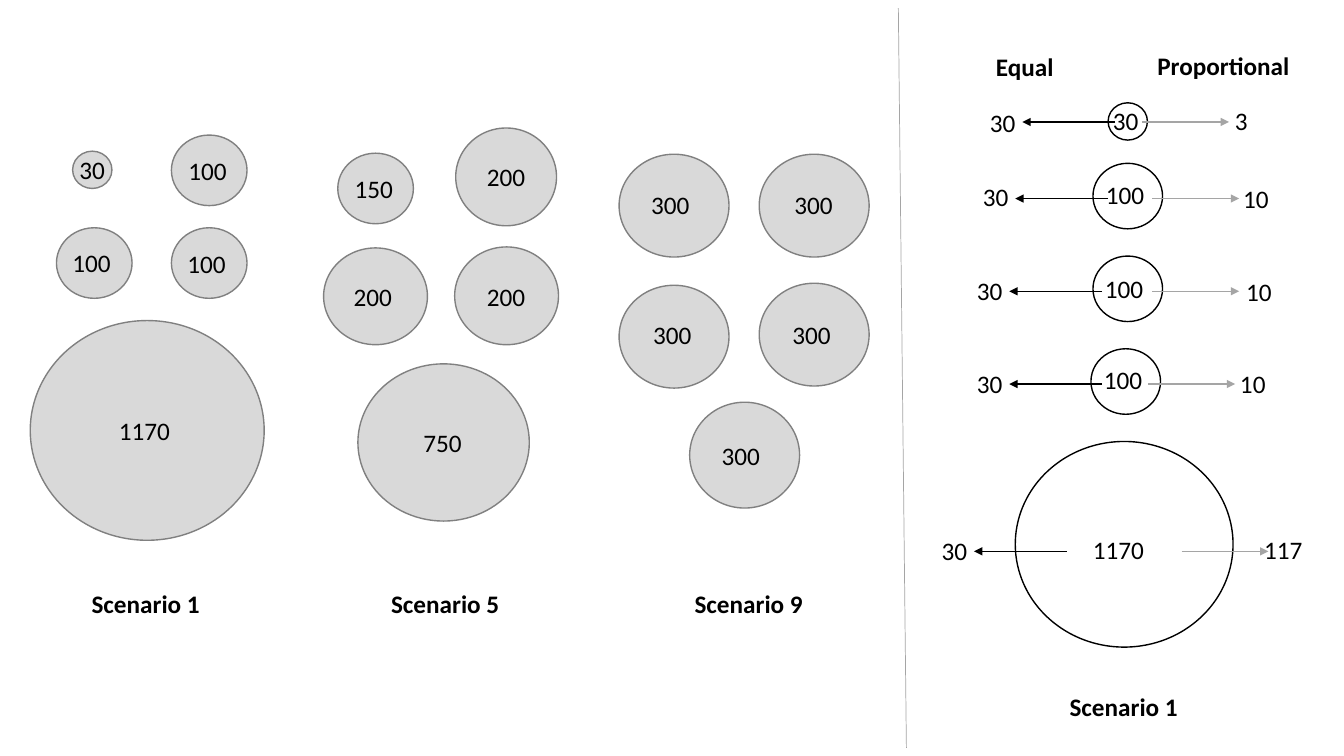
from lxml import etree
from pptx import Presentation, util as u
from pptx.dml.color import RGBColor
from pptx.enum import shapes
from pptx.oxml.ns import qn

COLORS = {"ink": "000000", "pool": "D9D9D9", "rim": "808080", "muted": "A5A5A5"}
LABEL_HEIGHT = 0.4

deck = Presentation()
deck.slide_width, deck.slide_height = u.Inches(13.33), u.Inches(7.5)
slide = deck.slides.add_slide(deck.slide_layouts[6])


def write(words, left, top, width, size=18, bold=False, color="ink"):
    box = slide.shapes.add_textbox(*map(u.Inches, (left, top, width, LABEL_HEIGHT)))
    box.text_frame.word_wrap = True
    run = box.text_frame.paragraphs[0].add_run()
    run.text = words
    run.font.name, run.font.size, run.font.bold = "Calibri", u.Pt(size), bold
    run.font.color.rgb = RGBColor.from_string(COLORS[color])


def rule(start, end, color, weight=1, arrow=True):
    stroke = slide.shapes.add_connector(
        shapes.MSO_CONNECTOR.STRAIGHT, *map(u.Inches, (*start, *end)))
    stroke.line.color.rgb = RGBColor.from_string(COLORS[color])
    stroke.line.width = u.Pt(weight)
    if arrow:
        etree.SubElement(stroke.line._get_or_add_ln(), qn("a:tailEnd"), type="triangle")
    etree.SubElement(stroke._element.spPr, qn("a:effectLst"))


# Scenarios: column left, title offset, label width, then the circles as
# (value, offset, top, width, height, label offset, label top)
scenarios = {
    "Scenario 1": (0.3, 0.51, 0.73, [
        ("30", 0.42, 1.5, 0.39, 0.37, 0.39, 1.48),
        ("100", 1.4, 1.34, 0.75, 0.7, 1.47, 1.49),
        ("100", 0.26, 2.26, 0.75, 0.7, 0.32, 2.4),
        ("100", 1.4, 2.26, 0.75, 0.7, 1.46, 2.41),
        ("1170", 0, 3.18, 2.32, 2.18, 0.78, 4.07)]),
    "Scenario 5": (3.21, 0.57, 0.73, [
        ("150", 0.14, 1.52, 0.75, 0.7, 0.21, 1.67),
        ("200", 1.31, 1.27, 1, 0.97, 1.52, 1.55),
        ("200", 0, 2.46, 1.03, 0.96, 0.2, 2.74),
        ("200", 1.3, 2.45, 1.03, 0.97, 1.52, 2.74),
        ("750", 0.34, 3.61, 1.7, 1.56, 0.89, 4.19)]),
    "Scenario 9": (6.14, 0.65, 0.65, [
        ("300", 0, 1.53, 1.09, 1.02, 0.22, 1.83),
        ("300", 1.39, 1.53, 1.09, 1.02, 1.64, 1.83),
        ("300", 0, 2.83, 1.09, 1.02, 0.24, 3.12),
        ("300", 1.39, 2.81, 1.09, 1.02, 1.62, 3.12),
        ("300", 0.7, 3.99, 1.09, 1.05, 0.92, 4.32)]),
}

# Allocation rows: value, circle box, value label (left, top, width),
# arrow height, equal arrow start, equal label top,
# proportional arrow start, share, share label (left, top, width)
allocations = [
    ("30", (10.99, 1.02, 0.39, 0.37), (10.94, 1, 0.61),
     1.21, 11.06, 1.02, 11.33, "3", (12.15, 1, 0.51)),
    ("100", (10.84, 1.62, 0.69, 0.65), (10.87, 1.73, 0.85),
     1.97, 10.99, 1.75, 11.43, "10", (12.23, 1.77, 0.51)),
    ("100", (10.84, 2.54, 0.69, 0.65), (10.86, 2.66, 0.68),
     2.89, 10.93, 2.68, 11.43, "10", (12.26, 2.69, 0.51)),
    ("100", (10.82, 3.46, 0.69, 0.65), (10.85, 3.57, 0.75),
     3.81, 10.93, 3.6, 11.39, "10", (12.2, 3.6, 0.51)),
    ("1170", (10.07, 4.38, 2.16, 2.04), (10.74, 5.25, 0.92),
     5.47, 10.58, 5.26, 11.72, "117", (12.44, 5.25, 0.96)),
]
EQUAL_REACH, PROPORTIONAL_REACH, EQUAL_LABEL_GAP = 0.92, 0.86, 0.42

# Circles of both halves
circles = [((left + dx, top, width, height), "pool", "rim")
           for left, _, _, pools in scenarios.values()
           for _, dx, top, width, height, _, _ in pools]
circles += [(row[1], None, "ink") for row in allocations]
for bounds, fill, outline in circles:
    circle = slide.shapes.add_shape(shapes.MSO_SHAPE.OVAL, *map(u.Inches, bounds))
    circle.shadow.inherit = False
    if fill:
        circle.fill.solid()
        circle.fill.fore_color.rgb = RGBColor.from_string(COLORS[fill])
    else:
        circle.fill.background()
    circle.line.color.rgb = RGBColor.from_string(COLORS[outline])
    circle.line.width = u.Pt(1)

# Scenario titles and values
for title, (left, title_dx, label_width, pools) in scenarios.items():
    write(title, left + title_dx, 5.79, 1.49, bold=True)
    for value, *_, label_dx, label_top in pools:
        write(value, left + label_dx, label_top, label_width)

# Allocation arrows and values
for (value, _, value_at, y, equal_start, equal_top,
     share_start, share, share_at) in allocations:
    equal_tip = equal_start - EQUAL_REACH
    rule((equal_start, y), (equal_tip, y), "ink")
    rule((share_start, y), (share_start + PROPORTIONAL_REACH, y), "muted")
    write(value, *value_at)
    write("30", equal_tip - EQUAL_LABEL_GAP, equal_top, 0.51)
    write(share, *share_at)

# Allocation headings and title
write("Equal", 9.78, 0.46, 0.9, bold=True)
write("Proportional", 11.38, 0.45, 1.96, bold=True)
write("Scenario 1", 10.51, 6.81, 1.49, bold=True)

# Divider between the halves
rule((8.91, 0.08), (8.99, 7.42), "muted", weight=0.5, arrow=False)

deck.save("out.pptx")
